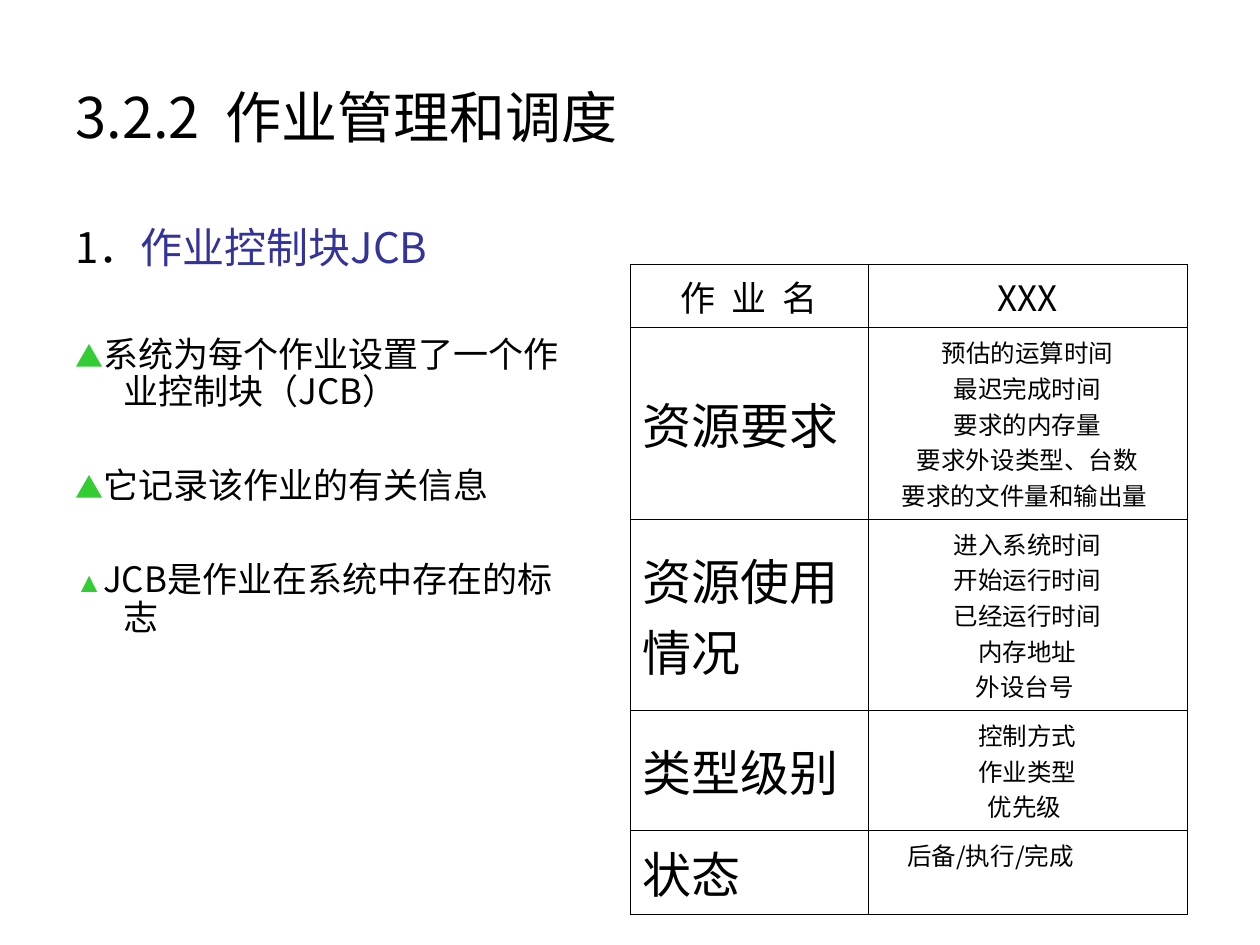
from lxml.etree import SubElement as Sub
from pptx import Presentation
from pptx.dml.color import RGBColor
from pptx.enum.text import MSO_ANCHOR as Anchor, PP_ALIGN as Align
from pptx.oxml.ns import qn
from pptx.util import Inches, Pt

FONT = "Noto Sans CJK SC"
BLACK = RGBColor(0x00, 0x00, 0x00)
BLUE = RGBColor(0x33, 0x33, 0x99)
GREEN = RGBColor(0x33, 0xCC, 0x33)

# Space before, East Asian face of the triangle, text
POINTS = [(37, FONT, "系统为每个作业设置了一个作业控制块（JCB）"),
          (32, FONT, "它记录该作业的有关信息"),
          (32, "Arial", "JCB是作业在系统中存在的标志")]
ROWS = [
    (0.5, "作  业  名", ["XXX"]),
    (1.52, "资源要求", ["预估的运算时间", "最迟完成时间", "要求的内存量",
                    "要求外设类型、台数", "要求的文件量和输出量 "]),
    (1.52, "资源使用情况", ["进入系统时间", "开始运行时间", "已经运行时间",
                      "内存地址", "外设台号 "]),
    (0.95, "类型级别", ["控制方式", "作业类型", "优先级 "]),
    (0.67, "状态", ["后备/执行/完成"]),
]


def add_run(para, text, size, color=BLACK, face=FONT, asian=FONT):
    run = para.add_run()
    run.text = text
    run.font.size = Pt(size)
    run.font.color.rgb = color
    run.font.name = face
    # East Asian glyphs take their own typeface
    Sub(run.font._element, qn("a:ea"), typeface=asian)


def indent(para, left, first=0):
    props = para._p.get_or_add_pPr()
    props.set("marL", str(Inches(left)))
    props.set("indent", str(Inches(first)))


def add_box(slide, box):
    frame = slide.shapes.add_textbox(*map(Inches, box)).text_frame
    frame.word_wrap = True
    return frame


def add_title(slide, box):
    frame = add_box(slide, box)
    frame.vertical_anchor = Anchor.MIDDLE
    add_run(frame.paragraphs[0], "3.2.2  作业管理和调度", 32)


def add_body(slide, box):
    frame = add_box(slide, box)

    def style(para, before):
        indent(para, 0.38, -0.38)
        para.line_spacing = 0.9
        para.space_before = Pt(before)

    # Numbered heading
    head = frame.paragraphs[0]
    style(head, 5)
    add_run(head, "1．", 24)
    add_run(head, "作业控制块JCB", 24, BLUE)

    # Points, each led by a green triangle
    for before, asian, text in POINTS:
        para = frame.add_paragraph()
        style(para, before)
        add_run(para, "▲", 16, GREEN, "Arial", asian)
        add_run(para, text, 20)


def add_borders(cell):
    props = cell._tc.get_or_add_tcPr()
    for i, side in enumerate(("lnL", "lnR", "lnT", "lnB")):
        line = props.makeelement(qn(f"a:{side}"), {"w": str(Pt(0.45))})
        fill = Sub(line, qn("a:solidFill"))
        Sub(fill, qn("a:srgbClr"), val=str(BLACK))
        props.insert(i, line)


def fill_cell(cell, lines, size, align):
    cell.fill.background()
    cell.vertical_anchor = Anchor.MIDDLE
    add_borders(cell)
    for i, text in enumerate(lines):
        frame = cell.text_frame
        para = frame.add_paragraph() if i else frame.paragraphs[0]
        para.alignment = align
        add_run(para, text, size)


def add_block(slide, box):
    table = slide.shapes.add_table(len(ROWS), 2, *map(Inches, box)).table
    table.first_row = table.horz_banding = False
    for col, width in zip(table.columns, (1.89, 2.53)):
        col.width = Inches(width)
    for r, (height, name, lines) in enumerate(ROWS):
        table.rows[r].height = Inches(height)
        top = r == 0
        fill_cell(table.cell(r, 0), [name], 20 if top else 28,
                  Align.CENTER if top else Align.LEFT)
        fill_cell(table.cell(r, 1), lines, 20 if top else 14, Align.CENTER)

    # The state sits at the top left of its cell
    state = table.cell(len(ROWS) - 1, 1)
    state.vertical_anchor = Anchor.TOP
    para = state.text_frame.paragraphs[0]
    para.alignment = Align.LEFT
    para.space_before = Pt(3.5)
    indent(para, 0.21)


def main():
    deck = Presentation()
    deck.slide_width, deck.slide_height = Inches(10), Inches(7.5)
    slide = deck.slides.add_slide(deck.slide_layouts[6])
    add_title(slide, (0.5, 0.3, 9, 1.25))
    add_body(slide, (0.5, 1.75, 4.19, 4.95))
    add_block(slide, (5, 2.1, 4.42, 5.16))
    deck.save("out.pptx")


if __name__ == "__main__":
    main()
